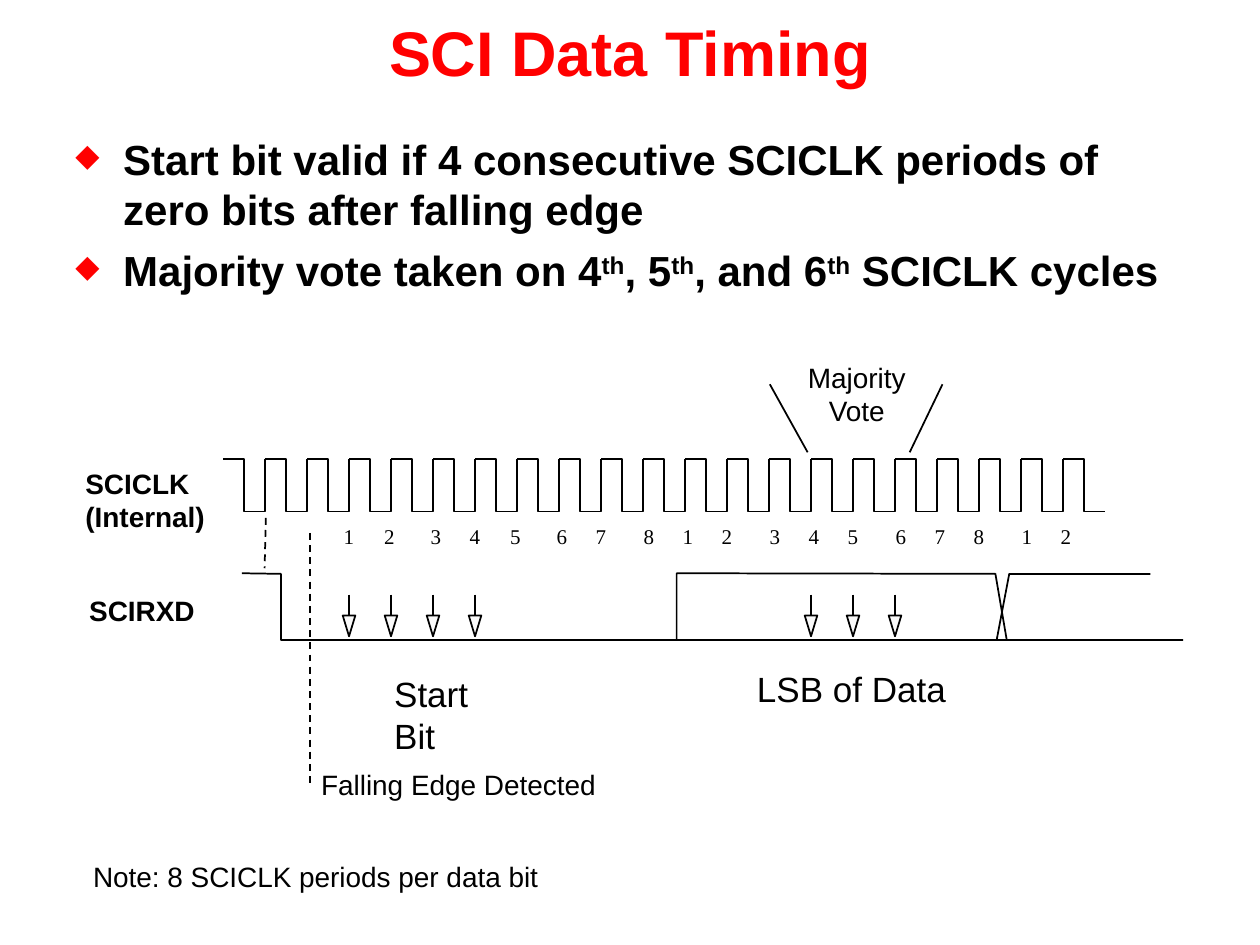
from dataclasses import dataclass

from lxml.etree import SubElement
from pptx import Presentation
from pptx.dml.color import RGBColor
from pptx.enum.dml import MSO_LINE
from pptx.enum.shapes import MSO_CONNECTOR, MSO_SHAPE
from pptx.enum.text import MSO_ANCHOR, PP_ALIGN
from pptx.oxml.ns import qn
from pptx.util import Emu, Inches, Pt

COLORS = {"title": "FF0000", "ink": "000000", "arrow": "F9F9F9"}
WIDTH, HEIGHT = Inches(10), Inches(7.5)
COL, ROW = WIDTH / 30, HEIGHT / 75
COUNT_TABS = [0.32, 0.69, 1, 1.32, 1.69, 2, 2.38, 2.69, 3,
              3.38, 3.69, 4, 4.38, 4.69, 5, 5.38, 5.69]


@dataclass
class Box:
    """A region measured in grid columns and rows."""
    left: float
    top: float
    width: float
    height: float

    def point(self, x, y):
        """Return the position of a point given relative to the region."""
        return Emu(round((self.left + x) * COL)), Emu(round((self.top + y) * ROW))

    def inner(self, x, y, width, height):
        """Return another region placed relative to this one."""
        return Box(self.left + x, self.top + y, width, height)

    def frame(self):
        """Return left, top, width and height for a shape."""
        return *self.point(0, 0), Emu(round(self.width * COL)), Emu(round(self.height * ROW))


def rgb(name):
    """Look up a named colour."""
    return RGBColor.from_string(COLORS[name])


def add_bullet(p):
    """Give a paragraph a hanging red diamond."""
    pPr = p._p.get_or_add_pPr()
    pPr.set("marL", str(Inches(0.38)))
    pPr.set("indent", str(-Inches(0.38)))
    SubElement(SubElement(pPr, qn("a:buClr")), qn("a:srgbClr"), val=COLORS["title"])
    SubElement(pPr, qn("a:buSzPct"), val="75000")
    SubElement(pPr, qn("a:buChar"), char="◆")


def add_tabs(p, stops):
    """Set left tab stops, in inches."""
    tabs = SubElement(p._p.get_or_add_pPr(), qn("a:tabLst"))
    for stop in stops:
        SubElement(tabs, qn("a:tab"), pos=str(Inches(stop)), algn="l")


def add_text(slide, box, *lines, size=16, bold=False, color="ink", font="Arial",
             align=PP_ALIGN.LEFT, anchor=MSO_ANCHOR.TOP, wrap=True,
             bullet=False, tabs=(), gap=0, inset=0.05):
    """Add one paragraph per line; text between carets is superscript."""
    tf = slide.shapes.add_textbox(*box.frame()).text_frame
    tf.word_wrap, tf.vertical_anchor, tf.margin_top = wrap, anchor, Inches(inset)
    for i, line in enumerate(lines):
        p = tf.add_paragraph() if i else tf.paragraphs[0]
        p.alignment = align
        if i:
            p.space_before = Pt(gap)
        if bullet:
            add_bullet(p)
        if tabs:
            add_tabs(p, tabs)
        for j, piece in enumerate(line.split("^")):
            r = p.add_run()
            r.text = piece
            r.font.size, r.font.bold, r.font.name = Pt(size), bold, font
            r.font.color.rgb = rgb(color)
            if j % 2:
                r._r.get_or_add_rPr().set("baseline", "30000")


def ink_line(sp):
    """Give a shape or connector a thin black line."""
    sp.line.color.rgb, sp.line.width = rgb("ink"), Pt(1)


def add_line(slide, box, start, end, dashed=False):
    """Draw a straight line between two points of a region."""
    s = slide.shapes.add_connector(MSO_CONNECTOR.STRAIGHT, *box.point(*start), *box.point(*end))
    ink_line(s)
    if dashed:
        s.line.dash_style = MSO_LINE.DASH
    SubElement(s._element.spPr, qn("a:effectLst"))


def add_trace(slide, box, points):
    """Draw an open signal trace through points of a region."""
    first, *rest = [box.point(*pt) for pt in points]
    builder = slide.shapes.build_freeform(*first)
    builder.add_line_segments(rest, close=False)
    sp = builder.convert_to_shape()
    sp.fill.background()
    sp.shadow.inherit = False
    ink_line(sp)


def add_sample(slide, box):
    """Draw a sampling arrow: a stem above a hollow head."""
    middle, head = box.width / 2, box.height / 2
    add_line(slide, box, (middle, 0), (middle, head))
    sp = slide.shapes.add_shape(MSO_SHAPE.ISOSCELES_TRIANGLE,
                                *box.inner(0, head, box.width, head).frame())
    sp.rotation = 180
    sp.fill.solid()
    sp.fill.fore_color.rgb = rgb("arrow")
    sp.shadow.inherit = False
    ink_line(sp)


def draw_heading(slide, box):
    """Place the title and the bullet list."""
    add_text(slide, box.inner(0, 0, box.width, 8.1), "SCI Data Timing", size=36, bold=True,
             color="title", align=PP_ALIGN.CENTER, anchor=MSO_ANCHOR.MIDDLE)
    add_text(slide, box.inner(1.5, 9.7, box.width - 3, 15),
             "Start bit valid if 4 consecutive SCICLK periods of zero bits after falling edge",
             "Majority vote taken on 4^th^, 5^th^, and 6^th^ SCICLK cycles",
             size=24, bold=True, bullet=True, gap=6, inset=0.09)


def draw_clock(slide, box):
    """Draw one clock cycle per column, with its label and counts."""
    low = box.height
    for i in range(box.width):
        cycle = [(i, 0), (i + 0.5, 0), (i + 0.5, low), (i + 1, low)]
        if i < box.width - 1:
            cycle.append((i + 1, 0))
        add_trace(slide, box, cycle)
    add_text(slide, box.inner(-3.57, 0.1, 3.6, 6.3), "SCICLK", "(Internal)", bold=True)
    counts = "\t".join(str(i % 8 + 1) for i in range(18))
    add_text(slide, box.inner(2.58, 4.7, 18.3, 3), counts, size=12,
             font="Times New Roman", tabs=COUNT_TABS)


def draw_vote(slide, box):
    """Place the majority vote label between its two guides."""
    add_line(slide, box, (0.9, box.height), (0, 2.4))
    add_line(slide, box, (3.33, box.height), (box.width, 2.4))
    add_text(slide, box.inner(0.6, 0, 2.94, 6.3), "Majority", "Vote",
             align=PP_ALIGN.CENTER, wrap=False)


def draw_data(slide, box):
    """Draw the received signal with its samples and labels."""
    low = box.height
    for trace in (
        [(0, 0), (0.93, 0.05), (0.93, low), (box.width, low)],
        [(10.35, low), (10.35, 0), (17.94, 0.05), (18.21, low)],
        [(17.97, low), (18.27, 0.05), (21.63, 0.05)],
    ):
        add_trace(slide, box, trace)
    for cycle in (0, 1, 2, 3, 11, 12, 13):
        add_sample(slide, box.inner(2.4 + cycle, 1.7, 0.3, 3.3))
    add_text(slide, box.inner(-3.93, 1.1, 3.54, 3.6), "SCIRXD", bold=True)
    add_text(slide, box.inner(3.33, 7.4, 3.54, 4.3), "Start Bit", size=20)
    add_text(slide, box.inner(11.97, 7, 6, 4.3), "LSB of Data", size=20)


def draw_edge(slide, box):
    """Mark the falling edge and the moment it is detected."""
    add_line(slide, box, (0.03, 0), (0, 4), dashed=True)
    add_line(slide, box, (1.08, 1.2), (1.08, box.height), dashed=True)
    add_text(slide, box.inner(1.05, 19.3, 7.14, 3.6), "Falling Edge Detected", wrap=False)


def draw_note(slide, box):
    """Place the closing note."""
    add_text(slide, box, "Note: 8 SCICLK periods per data bit", wrap=False)


def main():
    """Build the slide and save it."""
    prs = Presentation()
    prs.slide_width, prs.slide_height = WIDTH, HEIGHT
    slide = prs.slides.add_slide(prs.slide_layouts[6])
    draw_heading(slide, Box(0, 0, 30, 25))
    draw_data(slide, Box(5.76, 45.5, 22.41, 5.3))
    draw_vote(slide, Box(18.33, 28.1, 4.11, 7.8))
    draw_edge(slide, Box(6.3, 41.1, 8.2, 21.1))
    draw_clock(slide, Box(5.31, 36.4, 21, 4.2))
    draw_note(slide, Box(1.92, 67.7, 11.22, 3.6))
    prs.save("out.pptx")


if __name__ == "__main__":
    main()
